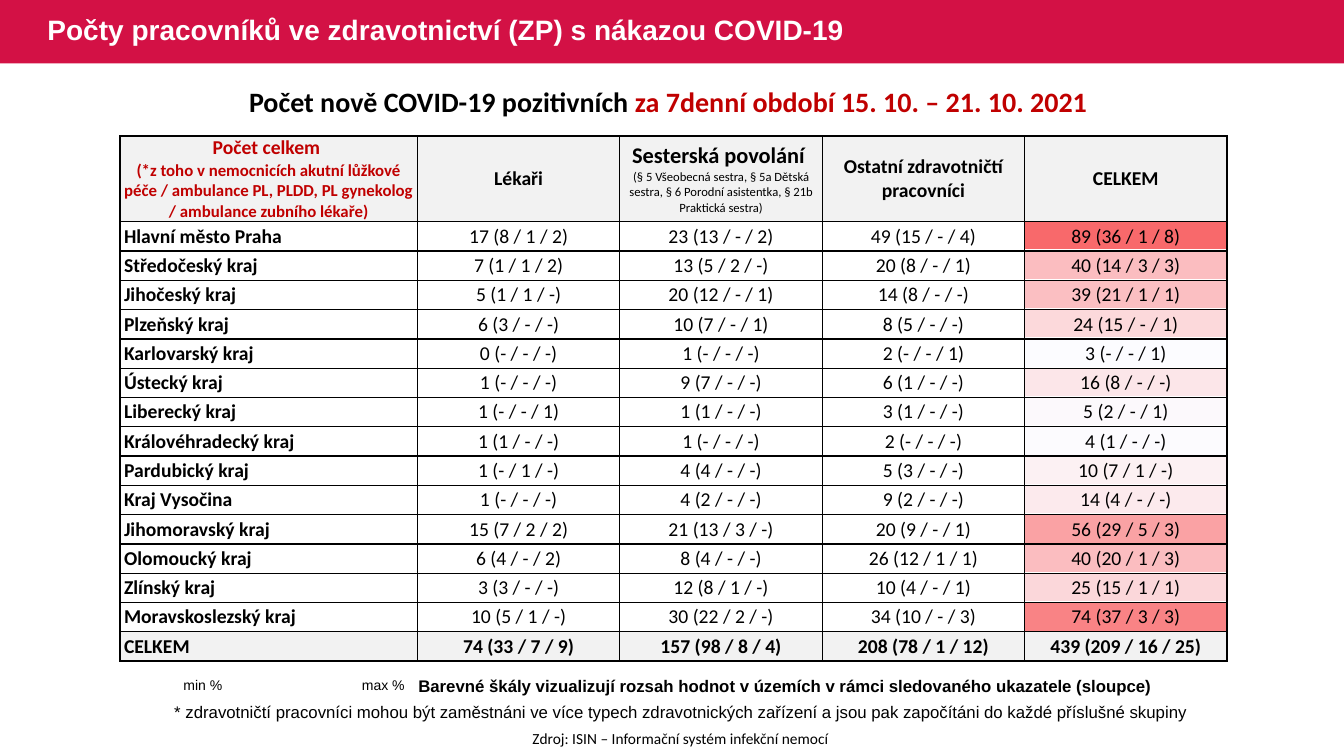
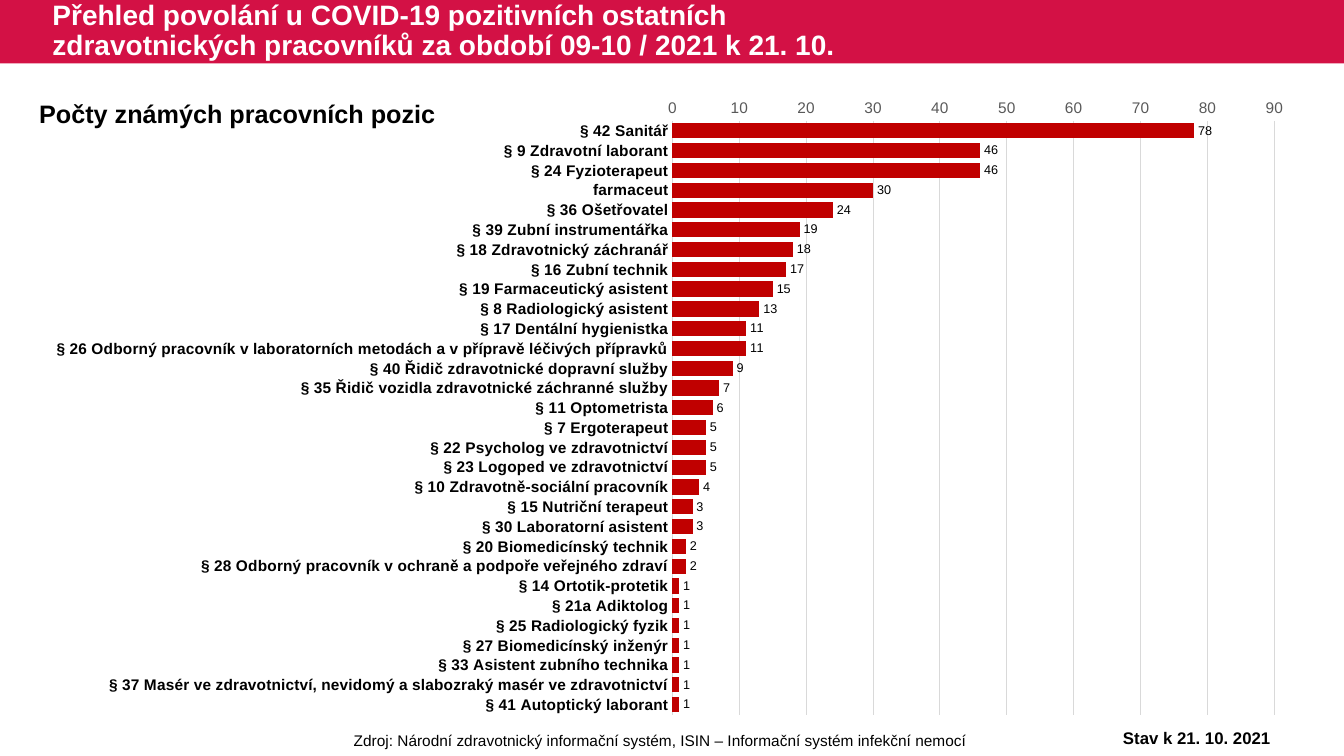
import math
import pptx
import pptx.chart.data
import pptx.dml.color
import pptx.enum.chart
import pptx.enum.shapes
import pptx.enum.text
import pptx.oxml
import pptx.oxml.ns
import pptx.util

Inches = pptx.util.Inches
Pt = pptx.util.Pt
ALIGN = pptx.enum.text.PP_ALIGN
MIDDLE = pptx.enum.text.MSO_ANCHOR.MIDDLE

BAND, RED, BLACK, WHITE = "D31145", "C00000", "000000", "FFFFFF"
PALE, RULE, GRAY = "F2F2F2", "D9D9D9", "595959"
LOW, HIGH = "FCFCFF", "F8696B"
WIDE = 13.33

# Each header cell is a list of (text, size, bold, colour) lines.
HEADS = [
    [("Počet celkem ", 14, True, RED),
     ("(*z toho v nemocnicích akutní lůžkové péče / ambulance PL, PLDD, "
      "PL gynekolog / ambulance zubního lékaře)", 12, True, RED)],
    [("Lékaři", 14, True, BLACK)],
    [("Sesterská povolání ", 16, True, BLACK),
     ("(§ 5 Všeobecná sestra, § 5a Dětská sestra, § 6 Porodní asistentka, "
      "§ 21b Praktická sestra)", 9, False, BLACK)],
    [("Ostatní zdravotničtí pracovníci", 14, True, BLACK)],
    [("CELKEM", 14, True, BLACK)],
]
ROWS = [
    ("Hlavní město Praha", "17 (8 / 1 / 2)", "23 (13 / - / 2)", "49 (15 / - / 4)", "89 (36 / 1 / 8)"),
    ("Středočeský kraj", "7 (1 / 1 / 2)", "13 (5 / 2 / -)", "20 (8 / - / 1)", "40 (14 / 3 / 3)"),
    ("Jihočeský kraj", "5 (1 / 1 / -)", "20 (12 / - / 1)", "14 (8 / - / -)", "39 (21 / 1 / 1)"),
    ("Plzeňský kraj", "6 (3 / - / -)", "10 (7 / - / 1)", "8 (5 / - / -)", "24 (15 / - / 1)"),
    ("Karlovarský kraj", "0 (- / - / -)", "1 (- / - / -)", "2 (- / - / 1)", "3 (- / - / 1)"),
    ("Ústecký kraj", "1 (- / - / -)", "9 (7 / - / -)", "6 (1 / - / -)", "16 (8 / - / -)"),
    ("Liberecký kraj", "1 (- / - / 1)", "1 (1 / - / -)", "3 (1 / - / -)", "5 (2 / - / 1)"),
    ("Královéhradecký kraj", "1 (1 / - / -)", "1 (- / - / -)", "2 (- / - / -)", "4 (1 / - / -)"),
    ("Pardubický kraj", "1 (- / 1 / -)", "4 (4 / - / -)", "5 (3 / - / -)", "10 (7 / 1 / -)"),
    ("Kraj Vysočina", "1 (- / - / -)", "4 (2 / - / -)", "9 (2 / - / -)", "14 (4 / - / -)"),
    ("Jihomoravský kraj", "15 (7 / 2 / 2)", "21 (13 / 3 / -)", "20 (9 / - / 1)", "56 (29 / 5 / 3)"),
    ("Olomoucký kraj", "6 (4 / - / 2)", "8 (4 / - / -)", "26 (12 / 1 / 1)", "40 (20 / 1 / 3)"),
    ("Zlínský kraj", "3 (3 / - / -)", "12 (8 / 1 / -)", "10 (4 / - / 1)", "25 (15 / 1 / 1)"),
    ("Moravskoslezský kraj", "10 (5 / 1 / -)", "30 (22 / 2 / -)", "34 (10 / - / 3)", "74 (37 / 3 / 3)"),
    ("CELKEM", "74 (33 / 7 / 9)", "157 (98 / 8 / 4)", "208 (78 / 1 / 12)", "439 (209 / 16 / 25)"),
]
JOBS = [
    ("§ 42 Sanitář", 78), ("§ 9 Zdravotní laborant", 46),
    ("§ 24 Fyzioterapeut", 46), ("farmaceut", 30),
    ("§ 36 Ošetřovatel", 24), ("§ 39 Zubní instrumentářka", 19),
    ("§ 18 Zdravotnický záchranář", 18), ("§ 16 Zubní technik", 17),
    ("§ 19 Farmaceutický asistent", 15), ("§ 8 Radiologický asistent", 13),
    ("§ 17 Dentální hygienistka", 11),
    ("§ 26 Odborný pracovník v laboratorních metodách a v přípravě léčivých přípravků", 11),
    ("§ 40 Řidič zdravotnické dopravní služby", 9),
    ("§ 35 Řidič vozidla zdravotnické záchranné služby", 7),
    ("§ 11 Optometrista", 6), ("§ 7 Ergoterapeut", 5),
    ("§ 22 Psycholog ve zdravotnictví", 5), ("§ 23 Logoped ve zdravotnictví", 5),
    ("§ 10 Zdravotně-sociální pracovník", 4), ("§ 15 Nutriční terapeut", 3),
    ("§ 30 Laboratorní asistent", 3), ("§ 20 Biomedicínský technik", 2),
    ("§ 28 Odborný pracovník v ochraně a podpoře veřejného zdraví", 2),
    ("§ 14 Ortotik-protetik", 1), ("§ 21a Adiktolog", 1),
    ("§ 25 Radiologický fyzik", 1), ("§ 27 Biomedicínský inženýr", 1),
    ("§ 33 Asistent zubního technika", 1),
    ("§ 37 Masér ve zdravotnictví, nevidomý a slabozraký masér ve zdravotnictví", 1),
    ("§ 41 Autoptický laborant", 1),
]


def paint(color, code):
    color.rgb = pptx.dml.color.RGBColor.from_string(code)


def fill(item, code):
    item.fill.solid()
    paint(item.fill.fore_color, code)


def ink(font, size, code=BLACK, bold=False, name="Arial"):
    font.size, font.bold, font.name = Pt(size), bold, name
    paint(font.color, code)


def box(left, top, width, height):
    return Inches(left), Inches(top), Inches(width), Inches(height)


def node(body):
    """Make an XML element from text, adding the namespace to its first tag."""
    return pptx.oxml.parse_xml(
        body.replace(">", f" {pptx.oxml.ns.nsdecls(body[1])}>", 1))


def blend(share):
    """Colour between LOW (0) and HIGH (1)."""
    pairs = [(int(LOW[i:i + 2], 16), int(HIGH[i:i + 2], 16)) for i in (0, 2, 4)]
    return "".join(f"{math.ceil(a + (b - a) * share):02X}" for a, b in pairs)


class Deck:
    def __init__(self):
        self.show = pptx.Presentation()
        self.show.slide_width, self.show.slide_height = Inches(WIDE), Inches(7.5)
        self.base = self.show.slide_layouts.get_by_name("Title Only")
        self.slide = None

    def page(self, title, left, width):
        first = self.slide is None
        self.slide = self.show.slides.add_slide(self.base)
        if first:
            self.band()
        head = self.slide.shapes.title
        head.left, head.top, head.width, head.height = box(left, 0, width, 0.63)
        frame = head.text_frame
        frame.text = title
        frame.vertical_anchor = MIDDLE
        frame.auto_size = pptx.enum.text.MSO_AUTO_SIZE.NONE
        par = frame.paragraphs[0]
        par.alignment, par.line_spacing = ALIGN.LEFT, 0.9
        ink(par.runs[0].font, 20, WHITE, True)

    def band(self):
        """Draw the top band and move it to the layout, behind every title."""
        band = self.slide.shapes.add_shape(
            pptx.enum.shapes.MSO_SHAPE.RECTANGLE, *box(0, 0, WIDE, 0.63))
        fill(band, BAND)
        band.line.fill.background()
        band.shadow.inherit = False
        self.base.shapes.element.insert(2, band.element)

    def text(self, words, place, size, bold=False, name="Arial",
             align=ALIGN.LEFT, wrap=True, tail=""):
        """Add a one-paragraph text box; tail is a closing run in red."""
        frame = self.slide.shapes.add_textbox(*box(*place)).text_frame
        frame.text, frame.word_wrap = words, wrap
        par = frame.paragraphs[0]
        par.alignment = align
        ink(par.runs[0].font, size, BLACK, bold, name)
        if tail:
            run = par.add_run()
            run.text = tail
            ink(run.font, size, RED, bold, name)
        return frame

    def scale(self, words, place, size, stop):
        """Add a legend line whose second word starts at a tab stop."""
        frame = self.text(words, place, size)
        frame.margin_left = frame.margin_right = 0
        frame.margin_top = frame.margin_bottom = 0
        props = frame.paragraphs[0]._p.get_or_add_pPr()
        props.append(node(f'<a:tabLst><a:tab pos="{Inches(stop)}" algn="l"/></a:tabLst>'))

    def table(self, rows, cols, place):
        table = self.slide.shapes.add_table(rows, cols, *box(*place)).table
        table.first_row = table.horz_banding = False
        return table

    def cell(self, cell, lines, align, side, code):
        cell.text = "\n".join(line[0] for line in lines)
        cell.vertical_anchor = MIDDLE
        cell.margin_left = cell.margin_right = Inches(side)
        cell.margin_top = cell.margin_bottom = 0
        for par, (_, size, bold, tint) in zip(cell.text_frame.paragraphs, lines):
            par.alignment = align
            ink(par.runs[0].font, size, tint, bold, "Calibri")
        props = cell._tc.get_or_add_tcPr()
        for edge in "LRTB":
            props.append(node(
                f'<a:ln{edge} w="{Pt(1)}"><a:solidFill><a:srgbClr val="{BLACK}"/>'
                f'</a:solidFill></a:ln{edge}>'))
        if code:
            fill(cell, code)
        else:
            cell.fill.background()

    def shade(self, sums, place):
        """Add the colour scale: a column of blank cells, the last one clear."""
        table = self.table(len(sums), 1, place)
        low, high = min(sums[:-1]), max(sums[:-1])
        for y, row in enumerate(table.rows):
            row.height = Inches(place[3] / len(sums))
            cell = table.cell(y, 0)
            cell.margin_top = cell.margin_bottom = 0
            cell.text_frame.paragraphs[0]._p.append(
                node('<a:endParaRPr sz="1000"></a:endParaRPr>'))
            if y < len(sums) - 1:
                fill(cell, blend((sums[y] - low) / (high - low)))
            else:
                cell.fill.background()

    def grid(self, heads, rows, place, first, top):
        """Add the table; first is the first column's width, top the header's height."""
        wide, high = place[2:]
        table = self.table(len(rows) + 1, len(heads), place)
        for i, col in enumerate(table.columns):
            col.width = Inches((wide - first) / (len(heads) - 1) if i else first)
        for i, row in enumerate(table.rows):
            row.height = Inches((high - top) / len(rows) if i else top)
        for i, lines in enumerate(heads):
            self.cell(table.cell(0, i), lines, ALIGN.CENTER, 0.04, PALE)
        for y, row in enumerate(rows, 1):
            total = y == len(rows)
            for x, words in enumerate(row):
                self.cell(table.cell(y, x), [(words, 14, total or x == 0, BLACK)],
                          ALIGN.CENTER if x else ALIGN.LEFT,
                          0.01 if x else 0.04, PALE if total else None)

    def bars(self, items, place, plot):
        """Add the bar chart; plot is the inner area on the slide, in inches."""
        data = pptx.chart.data.CategoryChartData()
        data.categories = [name for name, _ in items]
        data.add_series("Series 1", [count for _, count in items])
        kinds = pptx.enum.chart
        chart = self.slide.shapes.add_chart(
            kinds.XL_CHART_TYPE.BAR_CLUSTERED, *box(*place), data).chart
        chart.has_legend = chart.has_title = False
        ink(chart.font, 10)
        group = chart.plots[0]
        group.gap_width, group.overlap, group.vary_by_categories = 30, 100, False
        fill(group.series[0].format, RED)
        group.has_data_labels = True
        labels = group.data_labels
        labels.show_value = True
        labels.position = kinds.XL_LABEL_POSITION.OUTSIDE_END
        ink(labels.font, 9)

        names, scale = chart.category_axis, chart.value_axis
        for axis in names, scale:
            axis.major_tick_mark = axis.minor_tick_mark = kinds.XL_TICK_MARK.NONE
        names.reverse_order = True
        ink(names.tick_labels.font, 11, BLACK, True)
        ink(scale.tick_labels.font, 11, GRAY)
        scale.minimum_scale, scale.maximum_scale, scale.major_unit = 0, 90, 10
        scale.format.line.fill.background()
        for line in names.format.line, scale.major_gridlines.format.line:
            line.width = Pt(0.75)
            paint(line.color, RULE)

        area = chart.element.find(".//" + pptx.oxml.ns.qn("c:plotArea"))
        for old in area.findall(pptx.oxml.ns.qn("c:layout")):
            area.remove(old)
        left, top, wide, high = place
        shares = ((plot[0] - left) / wide, (plot[1] - top) / high,
                  plot[2] / wide, plot[3] / high)
        spots = "".join(f'<c:{key} val="{share}"/>' for key, share in zip("xywh", shares))
        area.insert(0, node(
            '<c:layout><c:manualLayout><c:layoutTarget val="inner"/>'
            '<c:xMode val="edge"/><c:yMode val="edge"/>'
            f'{spots}</c:manualLayout></c:layout>'))


def main():
    deck = Deck()
    deck.page("Počty pracovníků ve zdravotnictví (ZP) s nákazou COVID-19", 0.37, 8.6)
    deck.shade([int(row[-1].split()[0]) for row in ROWS], (10.16, 2.19, 2.02, 4.37))
    deck.text("Zdroj: ISIN – Informační systém infekční nemocí",
              (3.27, 7.18, 6.96, 0.29), 11, name="Calibri", align=ALIGN.CENTER)
    deck.grid(HEADS, ROWS, (1.19, 1.35, 10.98, 5.21), 2.95, 0.85)
    deck.text("Počet nově COVID-19 pozitivních ", (0.66, 0.79, 12, 0.44), 20, True,
              "Calibri", ALIGN.CENTER, tail="za 7denní období 15. 10. – 21. 10. 2021 ")
    deck.text("Barevné škály vizualizují rozsah hodnot v územích v rámci "
              "sledovaného ukazatele (sloupce)", (4.05, 6.65, 7.72, 0.3), 12, True)
    deck.text("* zdravotničtí pracovníci mohou být zaměstnáni ve více typech "
              "zdravotnických zařízení a jsou pak započítáni do každé příslušné skupiny",
              (1.63, 6.91, 10.26, 0.3), 12)
    deck.scale("min %\tmax %", (1.82, 6.71, 2.26, 0.17), 10, 1.77)

    deck.page("Přehled povolání u COVID-19 pozitivních ostatních zdravotnických "
              "pracovníků za období 09-10 / 2021 k 21. 10.", 0.42, 8.26)
    deck.bars(JOBS, (0.04, 0.8, 12.97, 6.42), (6.67, 1.2, 5.97, 5.89))
    deck.text("Zdroj: Národní zdravotnický informační systém, ISIN – Informační "
              "systém infekční nemocí", (2.36, 7.2, 8.38, 0.29), 11, align=ALIGN.CENTER)
    deck.text("Počty známých pracovních pozic", (0.29, 0.93, 4.16, 0.4), 18, True, wrap=False)
    deck.text("Stav k 21. 10. 2021", (10.77, 7.17, 2.2, 0.3), 12, True, align=ALIGN.CENTER)
    deck.show.save("out.pptx")


if __name__ == "__main__":
    main()
